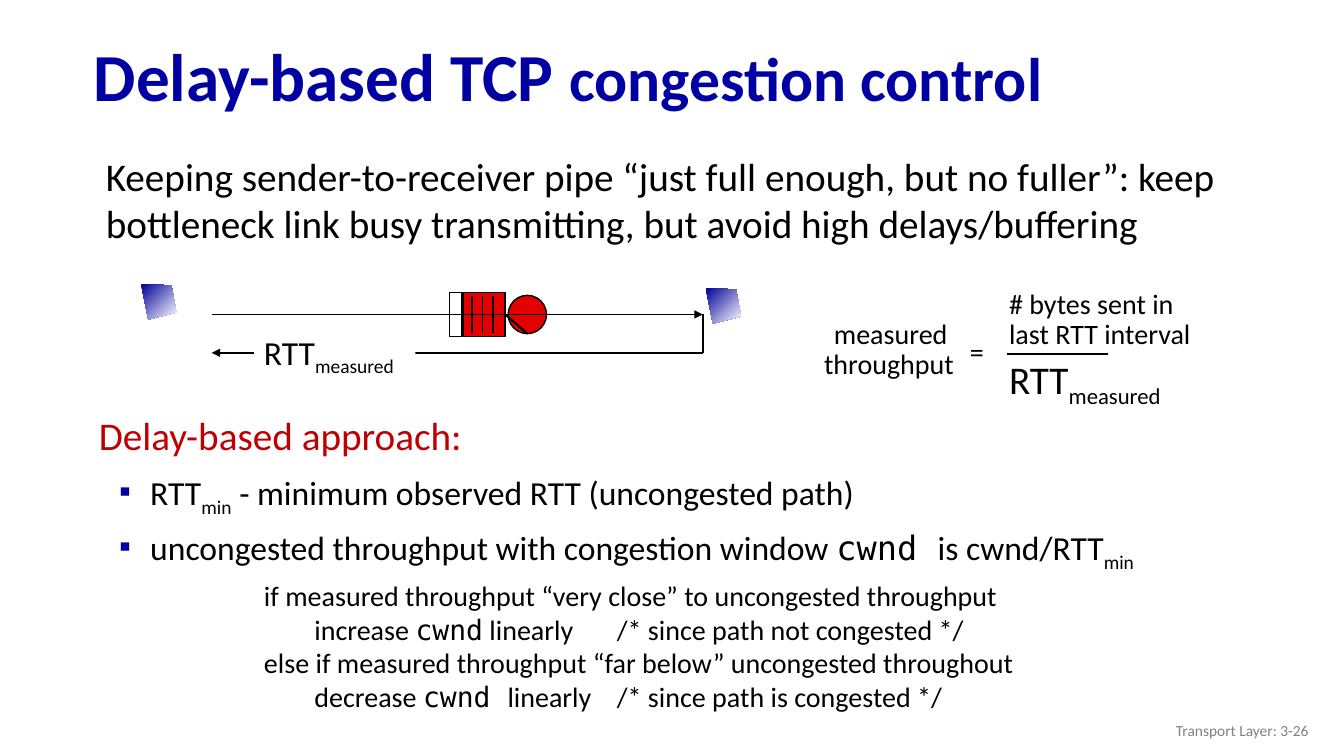
from lxml import etree
from pptx import Presentation
from pptx.dml import color
from pptx.enum import shapes, text
from pptx.oxml import ns
from pptx.util import Inches, Pt

COLORS = {"title": "0000A3", "text": "000000", "accent": "C00000", "queue": "E40000",
          "host": "000099", "white": "FFFFFF", "footer": "808080"}
SANS, MONO = "Calibri", "DejaVu Sans Mono"
SUBSCRIPT = {"baseline": "-25000"}
CODE = {"name": MONO}


def rgb(name):
    """Return the named colour."""
    return color.RGBColor.from_string(COLORS[name])


def add_element(parent, tag, **attributes):
    """Append a drawing element to its parent."""
    return etree.SubElement(parent, ns.qn(tag), attributes)


def add_run(paragraph, content, style):
    """Add a run with the given format values."""
    values = {"name": SANS, "color": "text", "bold": False, **style}
    run = paragraph.add_run()
    run.text = content
    run.font.color.rgb = rgb(values.pop("color"))
    baseline = values.pop("baseline", None)
    if baseline:
        run._r.get_or_add_rPr().set("baseline", baseline)
    for name, value in values.items():
        setattr(run.font, name, value)


def write(shape, paragraphs, size, frame_format=None, spacing=1.0, **paragraph_format):
    """Fill a shape with paragraphs of (runs, margin, indent, bullet, tabs)."""
    frame = shape.text_frame
    values = {"word_wrap": True, "auto_size": text.MSO_AUTO_SIZE.NONE,
              "vertical_anchor": text.MSO_ANCHOR.TOP, **(frame_format or {})}
    for name, value in values.items():
        setattr(frame, name, value)
    for number, (runs, margin, indent, bullet, tabs) in enumerate(paragraphs):
        paragraph = frame.add_paragraph() if number else frame.paragraphs[0]
        properties = paragraph._p.get_or_add_pPr()
        properties.set("marL", str(Inches(margin)))
        properties.set("indent", str(Inches(indent)))
        if bullet:
            add_element(add_element(properties, "a:buClr"), "a:srgbClr", val=COLORS["title"])
            add_element(properties, "a:buFont", typeface="Arial")
            add_element(properties, "a:buChar", char=bullet)
        else:
            add_element(properties, "a:buNone")
        if tabs:
            tab_list = add_element(properties, "a:tabLst")
            for position in tabs:
                add_element(tab_list, "a:tab", pos=str(Inches(position)), algn="l")
        layout = {"alignment": text.PP_ALIGN.LEFT, "space_before": Pt(0),
                  "line_spacing": spacing, **paragraph_format}
        if not number:
            layout["space_before"] = Pt(0)
        for name, value in layout.items():
            setattr(paragraph, name, value)
        for content, style in runs:
            add_run(paragraph, content, {"size": Pt(size), **style})


def plain(*runs, margin=0, indent=0, bullet=None, tabs=()):
    """Describe one paragraph."""
    return runs, margin, indent, bullet, tabs


def place(shape, left, top, width, height):
    """Move and size a shape."""
    for name, value in zip(("left", "top", "width", "height"), (left, top, width, height)):
        setattr(shape, name, Inches(value))
    return shape


def add_label(slide, box, paragraphs, size, wrap=False, **options):
    """Add a text box that fits its text."""
    label = slide.shapes.add_textbox(*map(Inches, box))
    frame_format = {"word_wrap": wrap, "auto_size": text.MSO_AUTO_SIZE.SHAPE_TO_FIT_TEXT}
    write(label, paragraphs, size, frame_format, **options)
    return label


def add_rtt_label(slide, box, size):
    """Add the white label of the measured round trip."""
    label = add_label(slide, box, [plain(("RTT", {}), ("measured", SUBSCRIPT))], size)
    label.fill.solid()
    label.fill.fore_color.rgb = rgb("white")


def add_line(slide, start, end, width=1.25, arrow=None):
    """Add a black line with an optional arrowhead."""
    line = slide.shapes.add_connector(shapes.MSO_CONNECTOR.STRAIGHT,
                                      *map(Inches, (*start, *end)))
    line.line.color.rgb = rgb("text")
    line.line.width = Pt(width)
    if arrow:
        add_element(line.line._get_or_add_ln(), f"a:{arrow}", type="triangle")
    add_element(line._element.spPr, "a:effectLst")
    return line


def add_block(slide, kind, box, fill):
    """Add an outlined block."""
    block = slide.shapes.add_shape(kind, *map(Inches, box))
    block.shadow.inherit = False
    block.fill.solid()
    block.fill.fore_color.rgb = rgb(fill)
    block.line.color.rgb = rgb("text")
    block.line.width = Pt(1)
    return block


def add_host(slide, left, top):
    """Add a shaded host outline."""
    outline = [(0.3, 0.01), (0.35, 0.28), (0.07, 0.35)]
    builder = slide.shapes.build_freeform(Inches(left), Inches(top))
    builder.add_line_segments([(Inches(left + x), Inches(top + y)) for x, y in outline])
    host = builder.convert_to_shape()
    host.shadow.inherit = False
    host.line.fill.background()
    host.fill.gradient()
    host.fill.gradient_angle = 315
    for stop, name in zip(host.fill.gradient_stops, ("host", "white")):
        stop.color.rgb = rgb(name)


def add_queue(slide, left, top):
    """Add the router queue and its link."""
    kinds = shapes.MSO_SHAPE
    buffer = add_block(slide, kinds.RECTANGLE, (left + 0.13, top, 0.42, 0.44), "queue")
    server = add_block(slide, kinds.OVAL, (left + 0.58, top + 0.03, 0.38, 0.38), "queue")
    link = add_line(slide, (left + 0.55, top + 0.22), (left + 0.58, top + 0.22), 1.5)
    link.begin_connect(buffer, 3)
    link.end_connect(server, 2)
    for number in range(3):
        x = left + 0.22 + number * 0.105
        add_line(slide, (x, top + 0.04), (x, top + 0.4))
    add_block(slide, kinds.RECTANGLE, (left, top, 0.12, 0.44), "white")


def add_path(slide, left, top):
    """Draw the path between hosts and its round trip."""
    add_host(slide, left, top)
    add_host(slide, left + 5.6, top + 0.04)
    add_queue(slide, left + 3.06, top + 0.08)
    near, far, out, back = left + 0.7, left + 5.57, top + 0.3, top + 0.68
    add_line(slide, (near, out), (far, out), arrow="tailEnd")
    add_line(slide, (near, back), (far, back), arrow="headEnd")
    add_line(slide, (far, out), (far, back))
    add_rtt_label(slide, (left + 1.12, top + 0.42, 1.6, 0.5), 24)


def add_formula(slide, left, top):
    """Place the measured throughput fraction."""
    add_rtt_label(slide, (left + 1.85, top + 0.65, 1.83, 0.57), 28)
    add_label(slide, (left, top + 0.3, 1.5, 0.71),
              [plain(("measured ", {})), plain(("throughput", {}))], 20,
              spacing=0.9, alignment=text.PP_ALIGN.RIGHT)
    add_line(slide, (left + 1.93, top + 0.68), (left + 2.93, top + 0.68), 1.75)
    add_label(slide, (left + 1.46, top + 0.44, 0.34, 0.44), [plain(("=", {}))], 20)
    add_label(slide, (left + 1.85, top, 2.03, 0.71),
              [plain(("# bytes sent in last RTT interval", {}))], 20, wrap=True, spacing=0.9)


def add_texts(slide):
    """Fill the title, introduction and approach placeholders."""
    title, introduction, approach = slide.placeholders
    write(place(title, 0.83, 0.3, 12.46, 0.98),
          [plain(("Delay-based TCP ", {}), ("congestion control", {"size": Pt(44)}))], 48,
          {"vertical_anchor": text.MSO_ANCHOR.MIDDLE}, 0.9)
    for run in title.text_frame.paragraphs[0].runs:
        run.font.bold = True
        run.font.color.rgb = rgb("title")
    write(place(introduction, 0.69, 1.46, 12.73, 1.1),
          [plain(("Keeping sender-to-receiver pipe “just full enough, but no fuller”: keep "
                  "bottleneck link busy transmitting, but avoid high delays/buffering", {}),
                 margin=0.26)], 28)
    bullet = {"margin": 0.57, "indent": -0.31, "bullet": "▪"}
    write(place(approach, 0.82, 4.08, 12.73, 2.4),
          [plain(("Delay-based approach:", {"size": Pt(28), "color": "accent"}), margin=0.06),
           plain(("RTT", {}), ("min", SUBSCRIPT),
                 (" - minimum observed RTT (uncongested path)", {}), **bullet),
           plain(("uncongested throughput with congestion window ", {}), ("cwnd ", CODE),
                 ("is cwnd/RTT", {}), ("min", SUBSCRIPT), **bullet)],
          24, spacing=0.9, space_before=Pt(10))


def add_algorithm(slide, box):
    """Add the window adjustment rules."""
    add_label(slide, box, [
        plain(("if measured throughput “very close” to uncongested throughput", {})),
        plain(("\tincrease ", {}), ("cwnd", CODE),
              (" linearly\t/* since path not congested */", {}), tabs=(0.51, 4.08)),
        plain(("else if measured throughput “far below” uncongested throughout", {})),
        plain(("\tdecrease ", {}), ("cwnd ", CODE),
              ("linearly\t/* since path is congested */", {}), tabs=(0.38, 4.03)),
    ], 20, wrap=True)


def add_footer(slide, box):
    """Add the chapter and page label."""
    footer = slide.shapes.add_textbox(*map(Inches, box))
    write(footer, [plain(("Transport Layer: 3-26", {"color": "footer"}))], 11,
          {"vertical_anchor": text.MSO_ANCHOR.MIDDLE}, alignment=text.PP_ALIGN.RIGHT)


def main():
    """Build and save the presentation."""
    presentation = Presentation()
    presentation.slide_width, presentation.slide_height = Inches(13.33), Inches(7.5)
    slide = presentation.slides.add_slide(presentation.slide_layouts[3])
    add_texts(slide)
    add_path(slide, 1.4, 2.82)
    add_algorithm(slide, (2.52, 5.69, 8.26, 1.75))
    add_formula(slide, 8.06, 2.83)
    add_footer(slide, (10.08, 7.05, 3, 0.4))
    presentation.save("out.pptx")


if __name__ == "__main__":
    main()
